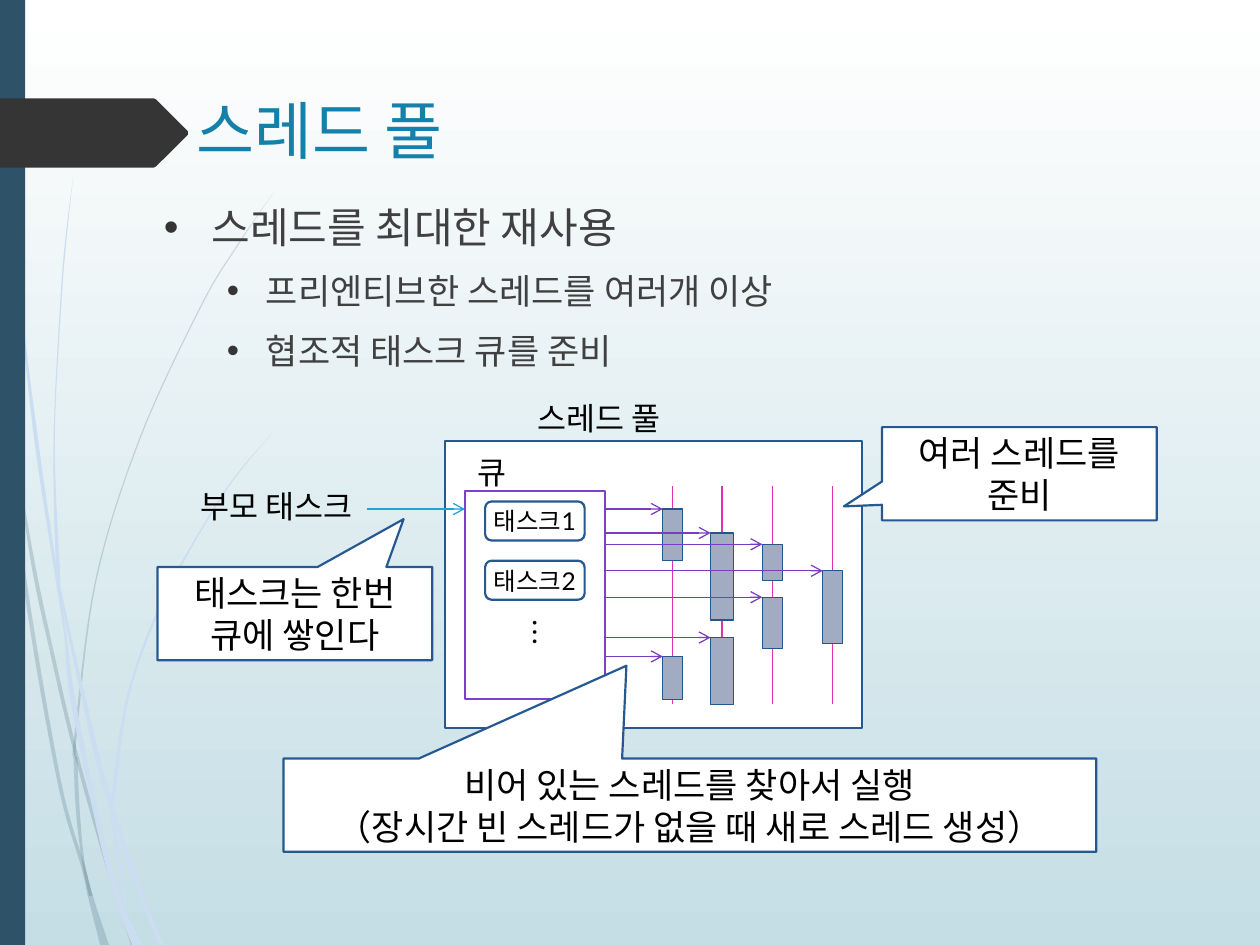
from dataclasses import dataclass

from lxml.etree import SubElement
from pptx import Presentation
from pptx.dml.color import RGBColor
from pptx.enum.shapes import MSO_CONNECTOR, MSO_SHAPE
from pptx.enum.text import MSO_ANCHOR, MSO_AUTO_SIZE, PP_ALIGN
from pptx.oxml.ns import qn
from pptx.util import Inches, Pt


@dataclass(frozen=True)
class Theme:
    font: str = "Lato"
    symbol_font: str = "Noto Sans CJK JP"
    white: str = "FFFFFF"
    black: str = "000000"
    sky: str = "C5DEE5"
    navy: str = "2E5369"
    pale: str = "CBDDF1"
    dark: str = "353535"
    title: str = "1581AA"
    body: str = "404040"
    outline: str = "265991"
    bar: str = "A1ABC1"
    bar_line: str = "24558B"
    queue: str = "7E40CC"
    dispatch: str = "783DC3"
    thread: str = "DE31B6"
    parent: str = "1BA4D9"
    title_size: int = 36
    list_size: int = 24
    sub_size: int = 20
    label_size: int = 18
    dots_size: int = 16
    task_size: int = 14


THEME = Theme()
GREY_STRANDS = [
    [(0.1, 3.45, 0), (0.26, 4.46, 0.03), (0.42, 5.21, 0.03), (0.6, 5.97, 0.03),
     (0.87, 6.93, 0.03), (1.06, 7.5, 0.04)],
    [(0.08, 3.5, 0), (0.21, 4.7, 0.03), (0.47, 6.2, 0.03), (0.66, 6.88, 0.03),
     (0.72, 7.12, 0.04), (0.83, 7.5, 0.07)],
    [(2.17, 1.53, 0), (1.87, 1.97, 0.01), (1.59, 2.44, 0.01), (1.11, 3.48, 0.01),
     (0.76, 4.61, 0.01), (0.6, 5.84, 0.02), (0.6, 6.05, 0.03), (0.62, 6.46, 0.03),
     (0.66, 6.83, 0.02), (0.72, 7.11, 0.03)],
]
PALE_STRANDS = [
    [(0.03, 0, 0.01), (0.06, 1.05, 0.01), (0.15, 2.28, 0.01), (0.29, 3.51, 0.03),
     (0.46, 4.65, 0.02), (0.52, 5.05, 0.02), (0.58, 5.56, 0.04), (0.79, 6.58, 0.04),
     (0.94, 7.14, 0.05), (1.09, 7.5, 0.08)],
    [(0.58, 1.41, 0), (0.52, 1.93, 0.01), (0.48, 2.45, 0.01), (0.43, 3.49, 0.01),
     (0.46, 4.5, 0.03), (0.5, 4.8, 0.02), (0.75, 5.91, 0.04), (0.9, 6.45, 0.04),
     (1.11, 7.07, 0.04), (1.28, 7.5, 0.04)],
    [(2.16, 3.44, 0), (1.91, 3.73, 0.01), (1.69, 4.05, 0.01), (1.3, 4.75, 0.02),
     (1.02, 5.51, 0.02), (0.9, 6.32, 0.03), (0.9, 6.52, 0.03), (1, 7.19, 0.02)],
]
LANES = [
    (5.26, 0.16, [(4.04, 0.41), (5.21, 0.34)]),
    (5.64, 0.18, [(4.23, 0.69), (5.06, 0.53)]),
    (6.05, 0.16, [(4.32, 0.29), (4.74, 0.41)]),
    (6.53, 0.16, [(4.53, 0.58)]),
]
CALLOUTS = [
    ((7, 3.39, 2.18, 0.74), (-0.639, 0.35), ["여러 스레드를 준비"]),
    ((2.25, 6.02, 6.45, 0.74), (-0.078, -1.495),
     ["비어 있는 스레드를 찾아서 실행", "（장시간 빈 스레드가 없을 때 새로 스레드 생성）"]),
    ((1.25, 4.5, 2.18, 0.74), (0.396, -1.013), ["태스크는 한번 큐에 쌓인다"]),
]


def color(value):
    return RGBColor.from_string(value)


def write(para, text, size=THEME.label_size, ink=THEME.black, font=THEME.font, align=PP_ALIGN.LEFT):
    para.alignment = align
    span = para.add_run()
    span.text = text
    span.font.size = Pt(size)
    span.font.name = font
    span.font.color.rgb = color(ink)


def smooth(knots, steps=8):
    padded = [knots[0], *knots, knots[-1]]
    points = []
    for before, start, end, after in zip(padded, padded[1:], padded[2:], padded[3:]):
        for step in range(steps):
            t = step / steps
            points.append([
                b + t * (c - a + t * (2 * a - 5 * b + 4 * c - d + t * (3 * b - a - 3 * c + d))) / 2
                for a, b, c, d in zip(before, start, end, after)
                for b in [b]
            ])
    return points + [knots[-1]]


class SlideBuilder:
    def __init__(self, page, theme):
        self.page = page
        self.shapes = page.shapes
        self.theme = theme

    def background(self):
        fill = self.page.background.fill
        fill.gradient()
        fill.gradient_angle = 270
        for stop, value in zip(fill.gradient_stops, (self.theme.white, self.theme.sky)):
            stop.color.rgb = color(value)

    def paint(self, shape, fill, line=None, weight=1.25):
        shape.shadow.inherit = False
        shape.fill.solid()
        shape.fill.fore_color.rgb = color(fill)
        if line:
            shape.line.color.rgb = color(line)
            shape.line.width = Pt(weight)
        else:
            shape.line.fill.background()
        return shape

    def shape(self, place, fill, line=None, weight=1.25, kind=MSO_SHAPE.RECTANGLE):
        shape = self.shapes.add_shape(kind, *map(Inches, place))
        return self.paint(shape, fill, line, weight)

    def outline(self, points, fill, alpha=None):
        corners = [(Inches(x), Inches(y)) for x, y in points]
        builder = self.shapes.build_freeform(*corners[0], scale=1.0)
        builder.add_line_segments(corners[1:], close=True)
        shape = self.paint(builder.convert_to_shape(), fill)
        if alpha:
            swatch = shape.element.spPr.find(qn("a:solidFill")).find(qn("a:srgbClr"))
            SubElement(swatch, qn("a:alpha")).set("val", str(alpha * 1000))

    def strand(self, knots, fill, alpha=None):
        points = smooth(knots)
        left = [(x - width / 2, y) for x, y, width in points]
        right = [(x + width / 2, y) for x, y, width in reversed(points)]
        self.outline(left + right, fill, alpha)

    def line(self, start, end, ink, arrow=False):
        ends = map(Inches, (*start, *end))
        line = self.shapes.add_connector(MSO_CONNECTOR.STRAIGHT, *ends)
        line.line.color.rgb = color(ink)
        line.line.width = Pt(0.75)
        if arrow:
            SubElement(line.line._get_or_add_ln(), qn("a:tailEnd")).set("type", "arrow")
        SubElement(line.element.spPr, qn("a:effectLst"))

    def label(self, place, text, rotation=0, **style):
        box = self.shapes.add_textbox(*map(Inches, place))
        box.rotation = rotation
        box.text_frame.word_wrap = False
        box.text_frame.auto_size = MSO_AUTO_SIZE.SHAPE_TO_FIT_TEXT
        write(box.text_frame.paragraphs[0], text, **style)

    def centre(self, shape, lines, size):
        frame = shape.text_frame
        frame.word_wrap = True
        frame.vertical_anchor = MSO_ANCHOR.MIDDLE
        for index, text in enumerate(lines):
            para = frame.add_paragraph() if index else frame.paragraphs[0]
            write(para, text, size=size, align=PP_ALIGN.CENTER)

    def callout(self, place, tip, lines):
        shape = self.shape(place, self.theme.white, self.theme.outline,
                           kind=MSO_SHAPE.RECTANGULAR_CALLOUT)
        shape.adjustments[0], shape.adjustments[1] = tip
        self.centre(shape, lines, self.theme.sub_size)

    def task(self, place, text):
        shape = self.shape(place, self.theme.white, self.theme.outline,
                           kind=MSO_SHAPE.ROUNDED_RECTANGLE)
        frame = shape.text_frame
        frame.margin_left = frame.margin_right = frame.margin_top = frame.margin_bottom = 0
        self.centre(shape, [text], self.theme.task_size)

    def placeholder(self, index, place):
        holder = self.page.placeholders[index]
        holder.left, holder.top, holder.width, holder.height = map(Inches, place)
        holder.element.getparent().append(holder.element)
        return holder.text_frame

    def title(self, place, text):
        frame = self.placeholder(0, place)
        frame.vertical_anchor = MSO_ANCHOR.MIDDLE
        write(frame.paragraphs[0], text, size=self.theme.title_size, ink=self.theme.title)

    def bullets(self, place, items):
        frame = self.placeholder(1, place)
        formats = [(0.38, 0.38, self.theme.list_size), (0.81, 0.31, self.theme.sub_size)]
        for index, (level, text) in enumerate(items):
            para = frame.add_paragraph() if index else frame.paragraphs[0]
            margin, hanging, size = formats[level]
            para.level = level
            props = para._p.get_or_add_pPr()
            props.set("marL", str(Inches(margin)))
            props.set("indent", str(-Inches(hanging)))
            tint = SubElement(props, qn("a:buClr"))
            SubElement(tint, qn("a:srgbClr")).set("val", self.theme.dark)
            SubElement(props, qn("a:buChar")).set("char", "•")
            para.space_after = Pt(6)
            if not index:
                para.space_before = Pt(0)
            write(para, text, size=size, ink=self.theme.body)


def main():
    deck = Presentation()
    deck.slide_width, deck.slide_height = Inches(10), Inches(7.5)
    slide = SlideBuilder(deck.slides.add_slide(deck.slide_layouts[1]), THEME)

    slide.background()
    for knots in GREY_STRANDS:
        slide.strand(knots, THEME.navy, alpha=20)
    for knots in PALE_STRANDS:
        slide.strand(knots, THEME.pale)
    slide.shape((0, 0, 0.2, 7.5), THEME.navy)
    slide.outline([(0, 0.78), (1.22, 0.78), (1.24, 0.79), (1.49, 1.04), (1.49, 1.07),
                   (1.24, 1.32), (1.22, 1.33), (0, 1.33)], THEME.dark)

    slide.shape((3.53, 3.5, 3.31, 2.28), THEME.white, THEME.outline, 1)
    slide.title((1.46, 0.68, 7.85, 0.7), "스레드 풀")
    slide.bullets((1.2, 1.55, 8.13, 4.92), [
        (0, "스레드를 최대한 재사용"),
        (1, "프리엔티브한 스레드를 여러개 이상"),
        (1, "협조적 태스크 큐를 준비"),
    ])

    slide.label((4.17, 3.12, 1.28, 0.4), "스레드 풀")
    slide.shape((3.69, 3.9, 1.11, 1.65), THEME.white, THEME.queue)
    slide.label((3.69, 3.55, 0.45, 0.4), "큐")
    for index in range(2):
        slide.task((3.85, 3.98 + 0.47 * index, 0.79, 0.31), f"태스크{index + 1}")
    slide.label((4.03, 4.84, 0.43, 0.37), "…", rotation=90,
                size=THEME.dots_size, font=THEME.symbol_font)

    for left, width, bars in LANES:
        middle = left + width / 2
        slide.line((middle, 3.86), (middle, 5.59), THEME.thread)
        for top, height in bars:
            slide.shape((left, top, width, height), THEME.bar, THEME.bar_line, 0.75)
    for left, width, bars in LANES:
        for top, height in bars:
            slide.line((4.79, top), (left, top), THEME.dispatch, arrow=True)

    slide.line((2.91, 4.04), (3.69, 4.04), THEME.parent, arrow=True)
    slide.label((1.49, 3.82, 1.53, 0.4), "부모 태스크")
    for place, tip, lines in CALLOUTS:
        slide.callout(place, tip, lines)

    deck.save("out.pptx")


if __name__ == "__main__":
    main()
